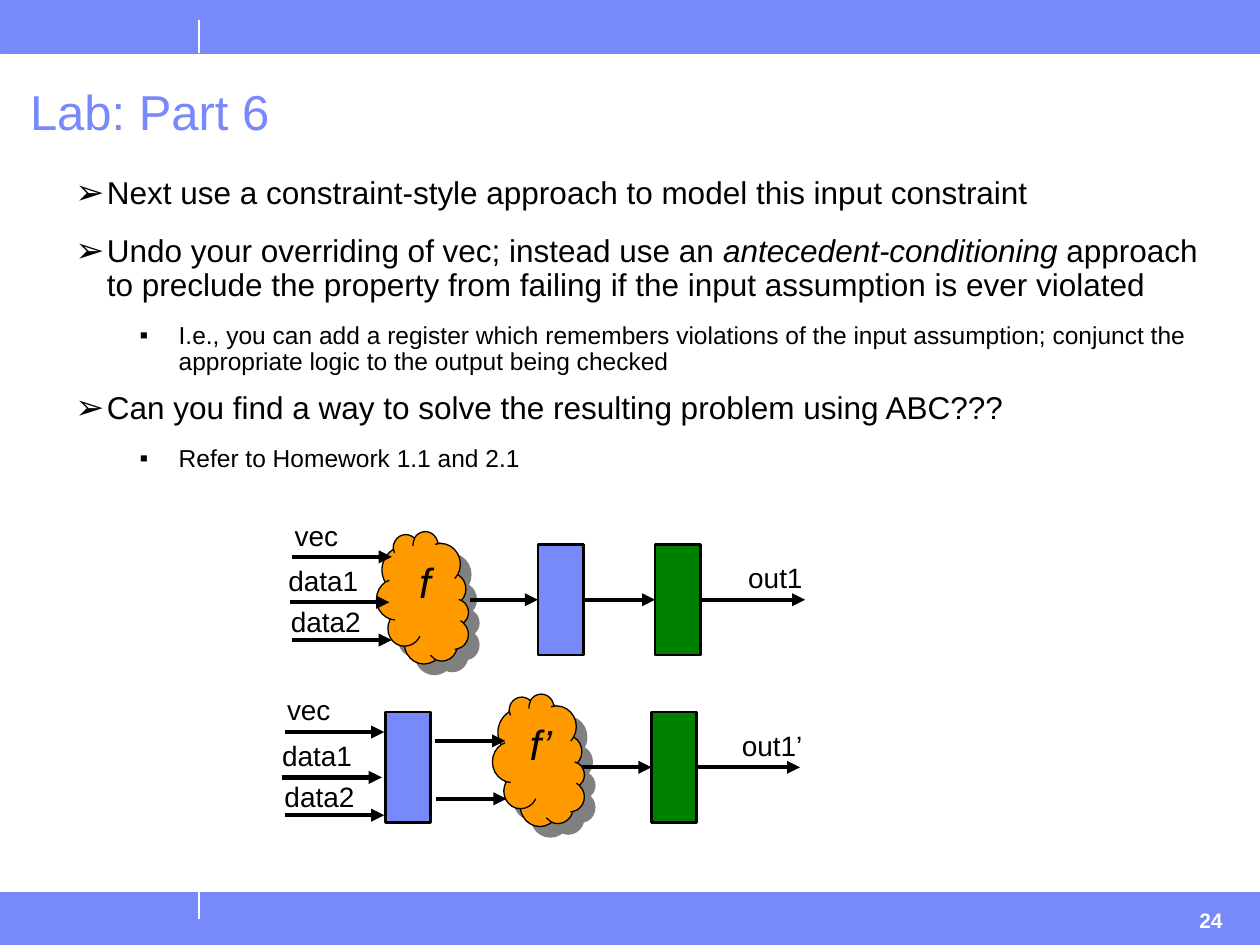
"""Build the slide "Lab: Part 6" with two register and logic diagrams."""
from lxml.etree import SubElement
from pptx import Presentation
from pptx.dml.color import RGBColor
from pptx.enum.shapes import MSO_CONNECTOR, MSO_SHAPE
from pptx.enum.text import MSO_ANCHOR, PP_ALIGN
from pptx.oxml.ns import qn
from pptx.util import Inches, Pt

BLUE, GREEN, ORANGE = "7889FB", "008000", "FF9900"
BLACK, WHITE, GRAY = "000000", "FFFFFF", "808080"

presentation = Presentation()
presentation.slide_width, presentation.slide_height = Inches(10), Inches(7.5)
column, row = presentation.slide_width / 100, presentation.slide_height / 75
slide = presentation.slides.add_slide(presentation.slide_layouts[6])


def color(value):
    """Turn a hex string into a colour."""
    return RGBColor.from_string(value)


def grid(*lengths):
    """Turn alternating columns and rows into slide lengths."""
    return [round(length * (row if index % 2 else column)) for index, length in enumerate(lengths)]


blocks = {}
for name, left, top, width, height, fill, line, line_width in [
    ("top bar", 0, 0, 100, 4.2, BLUE, BLUE, 0.25),
    ("bottom bar", 0, 70.8, 100, 4.2, BLUE, BLUE, 0.25),
    ("first register", 42.7, 43.2, 3.6, 8.8, BLUE, BLACK, 1.5),
    ("first target", 52, 43.2, 3.6, 8.8, GREEN, BLACK, 1.5),
    ("second register", 30.6, 56.5, 3.6, 8.8, BLUE, BLACK, 1.5),
    ("second target", 51.7, 56.5, 3.6, 8.8, GREEN, BLACK, 1.5),
]:
    block = slide.shapes.add_shape(MSO_SHAPE.RECTANGLE, *grid(left, top, width, height))
    block.shadow.inherit = False
    block.fill.solid()
    block.fill.fore_color.rgb = color(fill)
    block.line.color.rgb = color(line)
    block.line.width = Pt(line_width)
    blocks[name] = block

for text, left, top in [("f", 28.3, 43.8), ("f’", 37.5, 56.7)]:
    cloud = slide.shapes.add_shape(MSO_SHAPE.CLOUD, *grid(left, top, 10.5, 7.3))
    cloud.rotation = 90
    cloud.shadow.inherit = False
    cloud.fill.solid()
    cloud.fill.fore_color.rgb = color(ORANGE)
    cloud.line.color.rgb = color(BLACK)
    cloud.line.width = Pt(0.75)
    effects = cloud.element.spPr.find(qn("a:effectLst"))
    shadow = SubElement(effects, qn("a:outerShdw"), dist=str(Pt(8.5)), dir="2700000", algn="ctr", rotWithShape="0")
    SubElement(shadow, qn("a:srgbClr"), val=GRAY)
    frame = cloud.text_frame
    frame.text = text
    frame.vertical_anchor = MSO_ANCHOR.TOP
    frame.margin_left = frame.margin_right = frame.margin_top = frame.margin_bottom = Inches(0.1)
    frame._txBody.bodyPr.set("vert", "vert270")
    paragraph = frame.paragraphs[0]
    paragraph.alignment = PP_ALIGN.CENTER
    paragraph.font.name, paragraph.font.size, paragraph.font.italic = "Arial", Pt(24), True
    paragraph.font.color.rgb = color(BLACK)

for start_x, start_y, end_x, end_y, source, target in [
    (15.8, 1.6, 15.8, 4.2, None, None),
    (15.8, 70.8, 15.8, 72.9, None, None),
    (23.2, 44.2, 31.1, 44.2, None, None),
    (23, 47.8, 30.9, 47.8, None, None),
    (23.2, 50.8, 31.1, 50.8, None, None),
    (37.3, 47.6, 42.7, 47.6, None, "first register"),
    (46.3, 47.6, 52, 47.6, "first register", "first target"),
    (55.6, 47.6, 63.9, 47.6, "first target", None),
    (22.6, 58.1, 30.5, 58.1, None, None),
    (22.4, 61.7, 30.3, 61.7, None, None),
    (22.6, 64.7, 30.5, 64.7, None, None),
    (34.5, 58.8, 40.1, 58.8, None, None),
    (34.6, 63.4, 40.2, 63.4, None, None),
    (46.2, 60.9, 51.7, 60.9, None, "second target"),
    (55.3, 60.9, 63.5, 60.9, "second target", None),
]:
    connector = slide.shapes.add_connector(MSO_CONNECTOR.STRAIGHT, *grid(start_x, start_y, end_x, end_y))
    if source:
        connector.begin_connect(blocks[source], 3)
    if target:
        connector.end_connect(blocks[target], 1)
    is_arrow = start_y == end_y
    connector.line.color.rgb = color(BLACK if is_arrow else WHITE)
    connector.line.width = Pt(2.5 if is_arrow else 0.75)
    if is_arrow:
        SubElement(connector.line._get_or_add_ln(), qn("a:tailEnd"), type="triangle")
    SubElement(connector.element.spPr, qn("a:effectLst"))

for text, left, top, width, height, size, text_color, bold, spacing in [
    ("Lab: Part 6", 1.4, 6.5, 98.3, 5, 28, BLUE, False, 0.9),
    ("24", 94.2, 71.5, 4.9, 3.5, 12, WHITE, True, 1.0),
    ("vec", 22.4, 40.7, 6, 3.7, 16, BLACK, False, 1.0),
    ("data1", 21.9, 44.2, 8, 3.7, 16, BLACK, False, 1.0),
    ("data2", 22.1, 47.5, 8, 3.7, 16, BLACK, False, 1.0),
    ("out1", 58.4, 44, 7, 3.7, 16, BLACK, False, 1.0),
    ("vec", 21.8, 54.5, 6, 3.7, 16, BLACK, False, 1.0),
    ("data1", 21.4, 58.1, 8, 3.7, 16, BLACK, False, 1.0),
    ("data2", 21.6, 61.4, 8, 3.7, 16, BLACK, False, 1.0),
    ("out1’", 57.9, 57.3, 7, 3.7, 16, BLACK, False, 1.0),
]:
    frame = slide.shapes.add_textbox(*grid(left, top, width, height)).text_frame
    frame.word_wrap = True
    frame.text = text
    paragraph = frame.paragraphs[0]
    paragraph.line_spacing = spacing
    paragraph.font.name, paragraph.font.size, paragraph.font.bold = "Arial", Pt(size), bold
    paragraph.font.color.rgb = color(text_color)

levels = [
    {"mark": "➢", "scale": 110, "margin": 0.25, "indent": -0.25, "before": 6.8, "after": 6.8, "size": 18},
    {"mark": "▪", "scale": 100, "margin": 0.82, "indent": -0.31, "before": 4.4, "after": 2.6, "size": 14},
]
body = slide.shapes.add_textbox(*grid(5, 13.6, 92.6, 57.3)).text_frame
body.word_wrap = True
for index, (level, runs) in enumerate([
    (0, ["Next use a constraint-style approach to model this input constraint"]),
    (0, ["Undo your overriding of vec; instead use an ", "antecedent-conditioning",
         " approach to preclude the property from failing if the input assumption is ever violated"]),
    (1, ["I.e., you can add a register which remembers violations of the input assumption; "
         "conjunct the appropriate logic to the output being checked"]),
    (0, ["Can you find a way to solve the resulting problem using ABC???"]),
    (1, ["Refer to Homework 1.1 and 2.1"]),
]):
    style = levels[level]
    paragraph = body.add_paragraph() if index else body.paragraphs[0]
    paragraph.level = level
    paragraph.line_spacing = 0.9
    paragraph.space_before = Pt(style["before"] if index else 0)
    paragraph.space_after = Pt(style["after"])
    properties = paragraph._p.get_or_add_pPr()
    properties.set("marL", str(Inches(style["margin"])))
    properties.set("indent", str(Inches(style["indent"])))
    SubElement(SubElement(properties, qn("a:buClr")), qn("a:srgbClr"), val=BLACK)
    SubElement(properties, qn("a:buSzPct"), val=str(style["scale"] * 1000))
    SubElement(properties, qn("a:buFont"), typeface="Arial")
    SubElement(properties, qn("a:buChar"), char=style["mark"])
    paragraph.font.name, paragraph.font.size = "Arial", Pt(style["size"])
    paragraph.font.color.rgb = color(BLACK)
    for position, text in enumerate(runs):
        run = paragraph.add_run()
        run.text = text
        if position == 1:
            run.font.italic = True

presentation.save("out.pptx")
